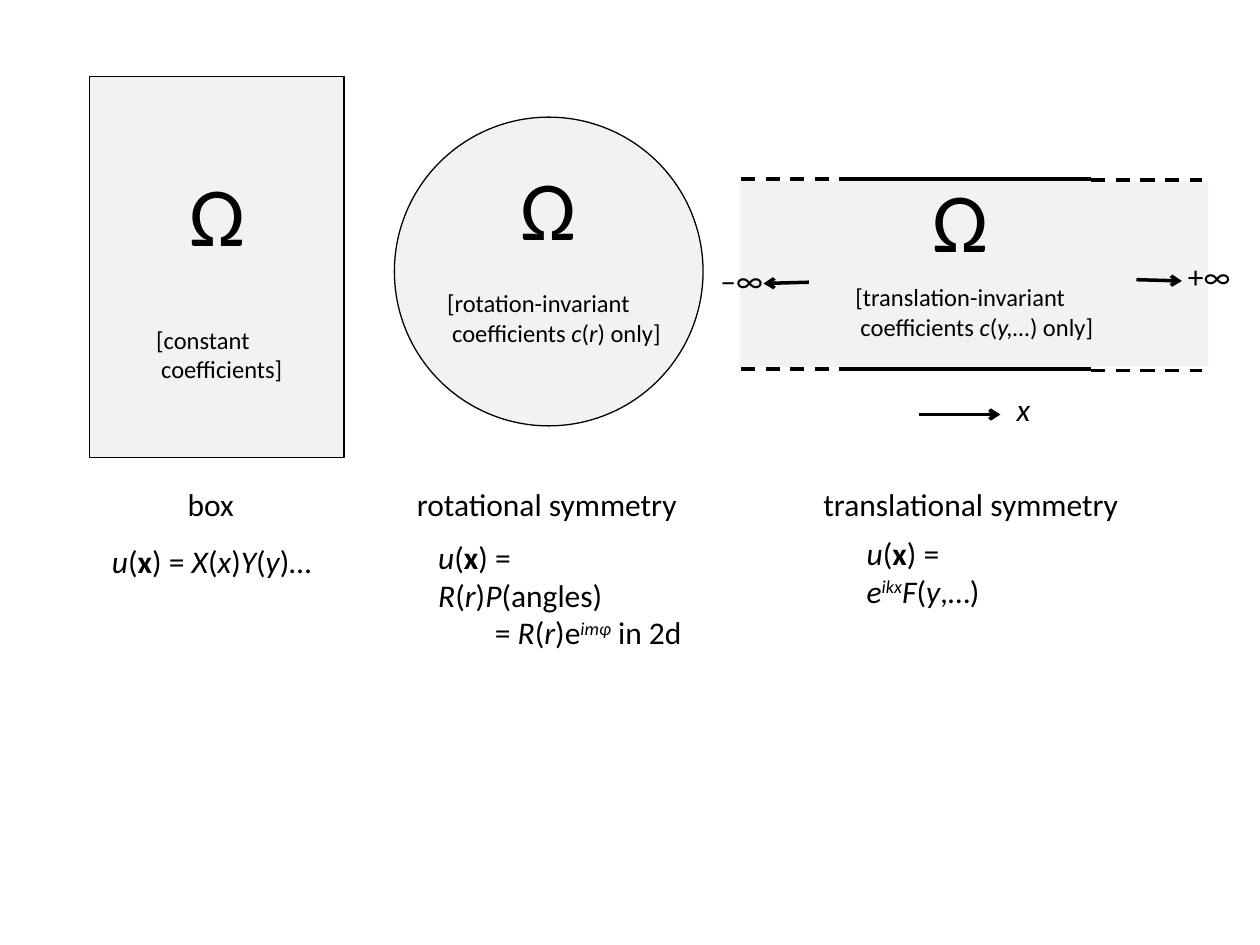
import pptx
import pptx.dml.color
import pptx.enum.dml
import pptx.enum.shapes
import pptx.enum.text
import pptx.oxml.ns
import pptx.util
from lxml import etree
from pptx.util import Inches

BLACK = "000000"
PALE = "F2F2F2"
MARKS = {"_": "i", "*": "b", "^": "baseline"}
ON_VALUES = {"i": "1", "b": "1", "baseline": "30000"}
TEXT_FRAME = {
    "word_wrap": False,
    "auto_size": pptx.enum.text.MSO_AUTO_SIZE.SHAPE_TO_FIT_TEXT,
}


def color(hex_value):
    """Turn a hex string into an RGB colour."""
    return pptx.dml.color.RGBColor.from_string(hex_value)


def apply(target, values):
    """Set each named attribute on the target."""
    for name, value in values.items():
        setattr(target, name, value)


def add_region(slide, preset, box, outlined=True):
    """Draw a pale domain, with or without a thin outline."""
    region = slide.shapes.add_shape(preset, *map(Inches, box))
    region.shadow.inherit = False
    region.fill.solid()
    region.fill.fore_color.rgb = color(PALE)
    if outlined:
        region.line.color.rgb = color(BLACK)
        region.line.width = pptx.util.Pt(0.75)
    else:
        region.line.fill.background()


def add_stroke(slide, start, end, dashed=False, arrow=False):
    """Draw a straight black line, optionally dashed or with an arrowhead."""
    stroke = slide.shapes.add_connector(
        pptx.enum.shapes.MSO_CONNECTOR.STRAIGHT, *map(Inches, (*start, *end)))
    stroke.line.color.rgb = color(BLACK)
    stroke.line.width = pptx.util.Pt(2)
    if dashed:
        stroke.line.dash_style = pptx.enum.dml.MSO_LINE.DASH
    if arrow:
        outline = stroke.line._get_or_add_ln()
        etree.SubElement(outline, pptx.oxml.ns.qn("a:tailEnd"), type="arrow")
    etree.SubElement(stroke._element.spPr, pptx.oxml.ns.qn("a:effectLst"))


def split_marks(marked):
    """Yield text pieces with styles; _ * ^ toggle italic, bold, superscript."""
    active, piece = set(), ""
    for letter in marked:
        if letter in MARKS:
            if piece:
                yield piece, set(active)
            active ^= {MARKS[letter]}
            piece = ""
        else:
            piece += letter
    if piece:
        yield piece, active


def add_text(slide, box, lines, size=18, centered=False, indent=0):
    """Write marked lines, indenting every line after the first."""
    frame = slide.shapes.add_textbox(*map(Inches, box)).text_frame
    apply(frame, TEXT_FRAME)
    for number, marked in enumerate(lines):
        paragraph = frame.add_paragraph() if number else frame.paragraphs[0]
        if centered:
            paragraph.alignment = pptx.enum.text.PP_ALIGN.CENTER
        if number:
            paragraph._p.get_or_add_pPr().set("marL", str(Inches(indent)))
        for piece, styles in split_marks(marked):
            run = paragraph.add_run()
            run.text = piece
            apply(run.font, {"name": "Calibri", "size": pptx.util.Pt(size)})
            run.font.color.rgb = color(BLACK)
            for style in styles:
                run.font._element.set(style, ON_VALUES[style])


def add_omega(slide, left, top):
    """Write the large domain symbol."""
    add_text(slide, (left, top, 0.64, 0.9), ["Ω"], size=48)


def add_coefficients(slide, box, lines):
    """Write the bracketed condition on the coefficients."""
    add_text(slide, box, lines, size=14, indent=0.04)


def add_box_case(slide, left, top, width, height):
    """Draw the rectangular domain with its separated solution."""
    add_region(slide, pptx.enum.shapes.MSO_SHAPE.RECTANGLE,
               (left, top, width, height))
    add_omega(slide, left + 0.7, top + 0.63)
    add_coefficients(slide, (left + 0.43, top + 1.92, 1.22, 0.57),
                     ["[constant", "coefficients]"])
    add_text(slide, (left + 0.68, top + 3.19, 0.57, 0.4), ["box"])
    add_text(slide, (left + 0.08, top + 3.64, 1.78, 0.4),
             ["_u_(*x*) = _X_(_x_)_Y_(_y_)…"])


def add_rotation_case(slide, left, top, diameter):
    """Draw the round domain with its separated solution."""
    add_region(slide, pptx.enum.shapes.MSO_SHAPE.OVAL,
               (left, top, diameter, diameter))
    add_omega(slide, left + 0.9, top + 0.26)
    add_coefficients(slide, (left + 0.32, top + 1.31, 1.91, 0.57),
                     ["[rotation-invariant", "coefficients _c_(_r_) only]"])
    add_text(slide, (left + 0.07, top + 2.87, 2.28, 0.4),
             ["rotational symmetry"], centered=True)
    add_text(slide, (left + 0.25, top + 3.29, 2.13, 0.7),
             ["_u_(*x*) = _R_(_r_)_P_(angles)",
              "= _R_(_r_)e_^imφ^_ in 2d"], indent=0.45)


def add_translation_case(slide, left, top, width, height):
    """Draw the endless strip with its separated solution."""
    add_region(slide, pptx.enum.shapes.MSO_SHAPE.RECTANGLE,
               (left, top, width, height), outlined=False)
    stops = [left + offset for offset in (0.01, 0.89, 2.79, 3.67)]
    for wall in (top - 0.02, top + height + 0.02):
        for part, (start, end) in enumerate(zip(stops, stops[1:])):
            level = wall + 0.01 * (part == 2)
            add_stroke(slide, (start, level), (end, level), dashed=part != 1)
    add_omega(slide, left + 1.43, top - 0.15)
    add_coefficients(slide, (left + 0.82, top + 0.75, 2.11, 0.57),
                     ["[translation-invariant",
                      "coefficients _c_(_y,…_) only]"])
    add_stroke(slide, (left + 1.42, top + 1.85), (left + 2.07, top + 1.85),
               arrow=True)
    add_text(slide, (left + 2.1, top + 1.61, 0.31, 0.4), ["_x_"])
    add_stroke(slide, (left + 3.15, top + 0.78), (left + 3.51, top + 0.79),
               arrow=True)
    add_text(slide, (left + 3.46, top + 0.55, 0.54, 0.4), ["+∞"])
    add_stroke(slide, (left + 0.55, top + 0.8), (left + 0.19, top + 0.81),
               arrow=True)
    add_text(slide, (left - 0.25, top + 0.58, 0.54, 0.4), ["–∞"])
    add_text(slide, (left + 0.56, top + 2.36, 2.55, 0.4),
             ["translational symmetry"], centered=True)
    add_text(slide, (left + 0.91, top + 2.75, 1.72, 0.4),
             ["_u_(*x*) = _e^ikx^F_(_y_,…)"])


def main():
    """Build the slide of three separable domains."""
    deck = pptx.Presentation()
    apply(deck, {"slide_width": Inches(10), "slide_height": Inches(7.5)})
    slide = deck.slides.add_slide(deck.slide_layouts[6])
    add_box_case(slide, 0.71, 0.61, 2.02, 3.02)
    add_rotation_case(slide, 3.13, 0.93, 2.45)
    add_translation_case(slide, 5.87, 1.44, 3.72, 1.47)
    deck.save("out.pptx")


if __name__ == "__main__":
    main()
